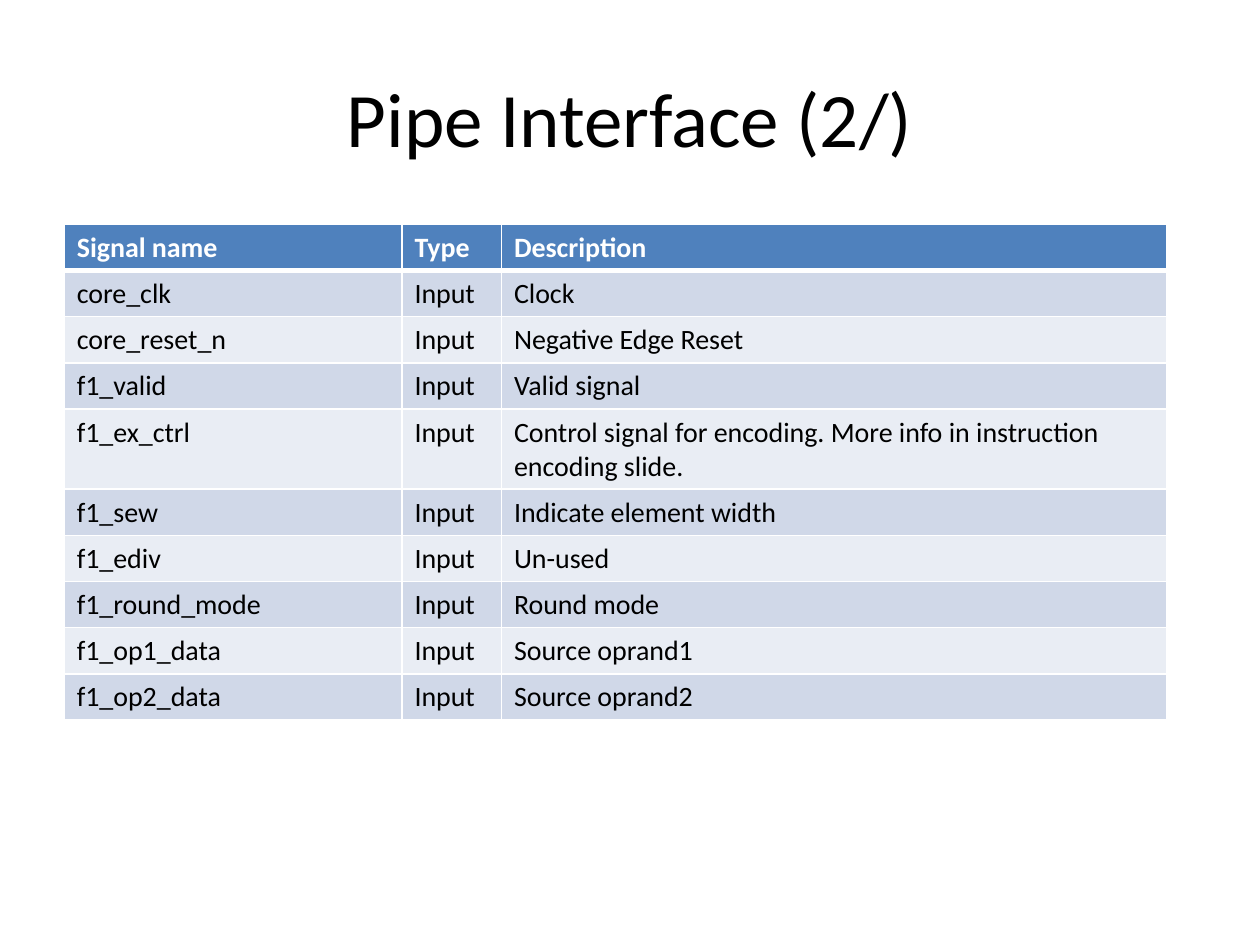
from lxml.etree import SubElement as Sub
from pptx import Presentation
from pptx.dml.color import RGBColor as RGB
from pptx.enum.text import MSO_ANCHOR as Anchor, PP_ALIGN as Align
from pptx.oxml.ns import qn
from pptx.util import Inches, Pt

BLACK = RGB(0x00, 0x00, 0x00)
WHITE = RGB(0xFF, 0xFF, 0xFF)
BLUE = RGB(0x4F, 0x81, 0xBD)
DARK = RGB(0xD0, 0xD8, 0xE8)
LIGHT = RGB(0xE9, 0xED, 0xF4)

HEADS = ("Signal name", "Type", "Description")
WIDTHS = (2.68, 0.79, 5.28)
SIGNALS = (
    ("core_clk", "Clock"),
    ("core_reset_n", "Negative Edge Reset"),
    ("f1_valid", "Valid signal"),
    ("f1_ex_ctrl", "Control signal for encoding. More info in instruction encoding slide."),
    ("f1_sew", "Indicate element width"),
    ("f1_ediv", "Un-used"),
    ("f1_round_mode", "Round mode"),
    ("f1_op1_data", "Source oprand1"),
    ("f1_op2_data", "Source oprand2"),
)


def put_text(frame, text, size=16, color=BLACK, bold=False, align=Align.LEFT):
    para = frame.paragraphs[0]
    para.alignment = align
    run = para.add_run()
    run.text = text
    font = run.font
    font.name, font.size, font.bold = "Calibri", Pt(size), bold
    font.color.rgb = color


def add_title(slide, text):
    box = slide.shapes.add_textbox(Inches(0.5), Inches(0.3), Inches(9), Inches(1.25))
    frame = box.text_frame
    frame.word_wrap = True
    frame.vertical_anchor = Anchor.MIDDLE
    put_text(frame, text, size=44, align=Align.CENTER)


def set_edges(cell, **widths):
    props = cell._tc.get_or_add_tcPr()
    for side in "LRTB":
        line = Sub(props, qn(f"a:ln{side}"), w=str(Pt(widths.get(side, 1))))
        fill = Sub(line, qn("a:solidFill"))
        Sub(fill, qn("a:srgbClr"), val=str(WHITE))


def paint(cell, color):
    cell.fill.solid()
    cell.fill.fore_color.rgb = color


def add_grid(slide):
    rows = [HEADS] + [(name, "Input", note) for name, note in SIGNALS]
    shape = slide.shapes.add_table(
        len(rows), len(HEADS), Inches(0.51), Inches(1.78),
        Inches(sum(WIDTHS)), Inches(0.25 * len(rows)))
    table = shape.table
    for col, width in zip(table.columns, WIDTHS):
        col.width = Inches(width)
    for i, row in enumerate(rows):
        table.rows[i].height = Inches(0.25)
        head = i == 0
        shade = BLUE if head else DARK if i % 2 else LIGHT
        for j, text in enumerate(row):
            cell = table.cell(i, j)
            set_edges(cell, B=3 if head else 1, T=3 if i == 1 else 1)
            paint(cell, shade)
            put_text(cell.text_frame, text, color=WHITE if head else BLACK, bold=head)


def main():
    deck = Presentation()
    deck.slide_width, deck.slide_height = Inches(10), Inches(7.5)
    slide = deck.slides.add_slide(deck.slide_layouts[6])
    add_title(slide, "Pipe Interface (2/)")
    add_grid(slide)
    deck.save("out.pptx")


if __name__ == "__main__":
    main()
